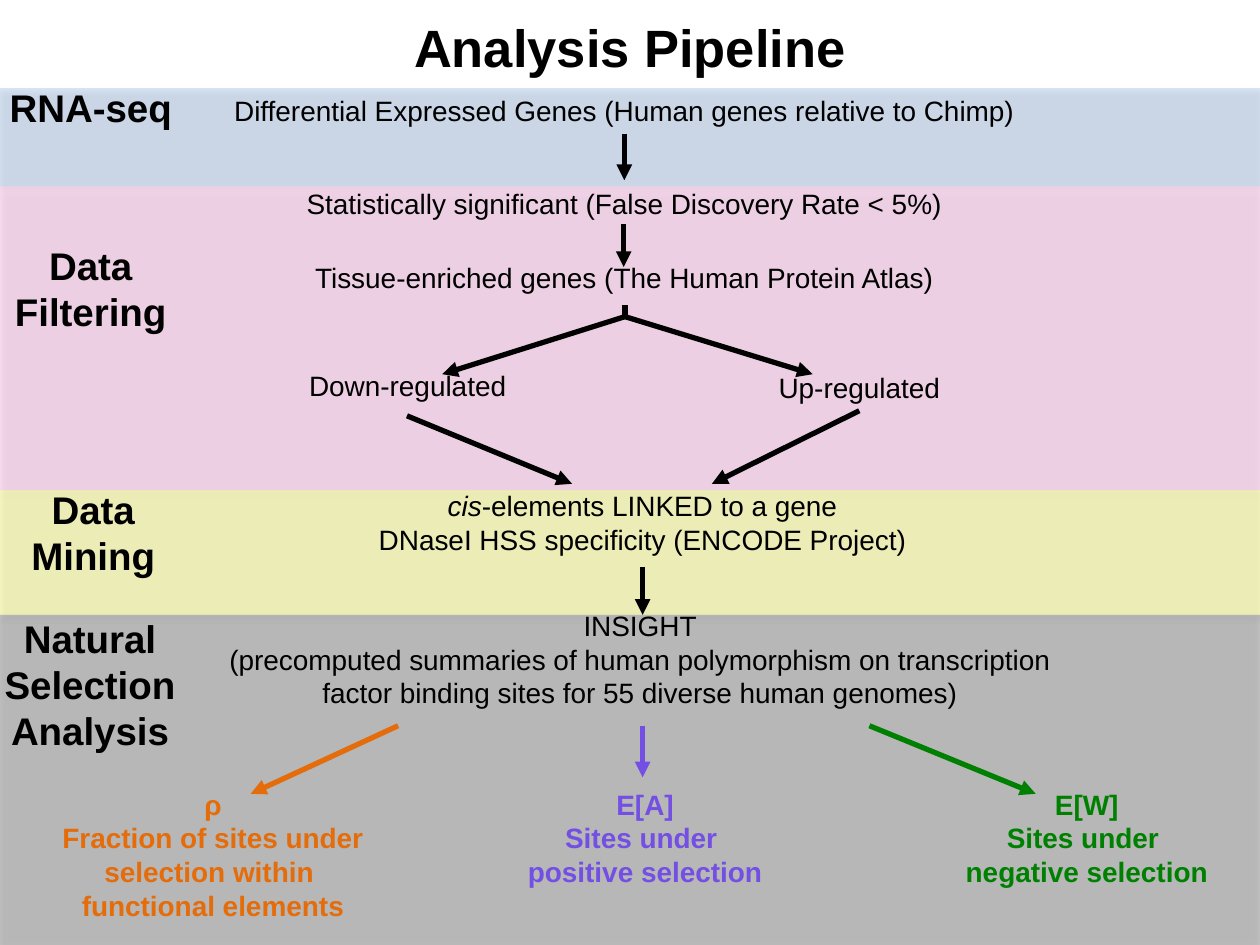
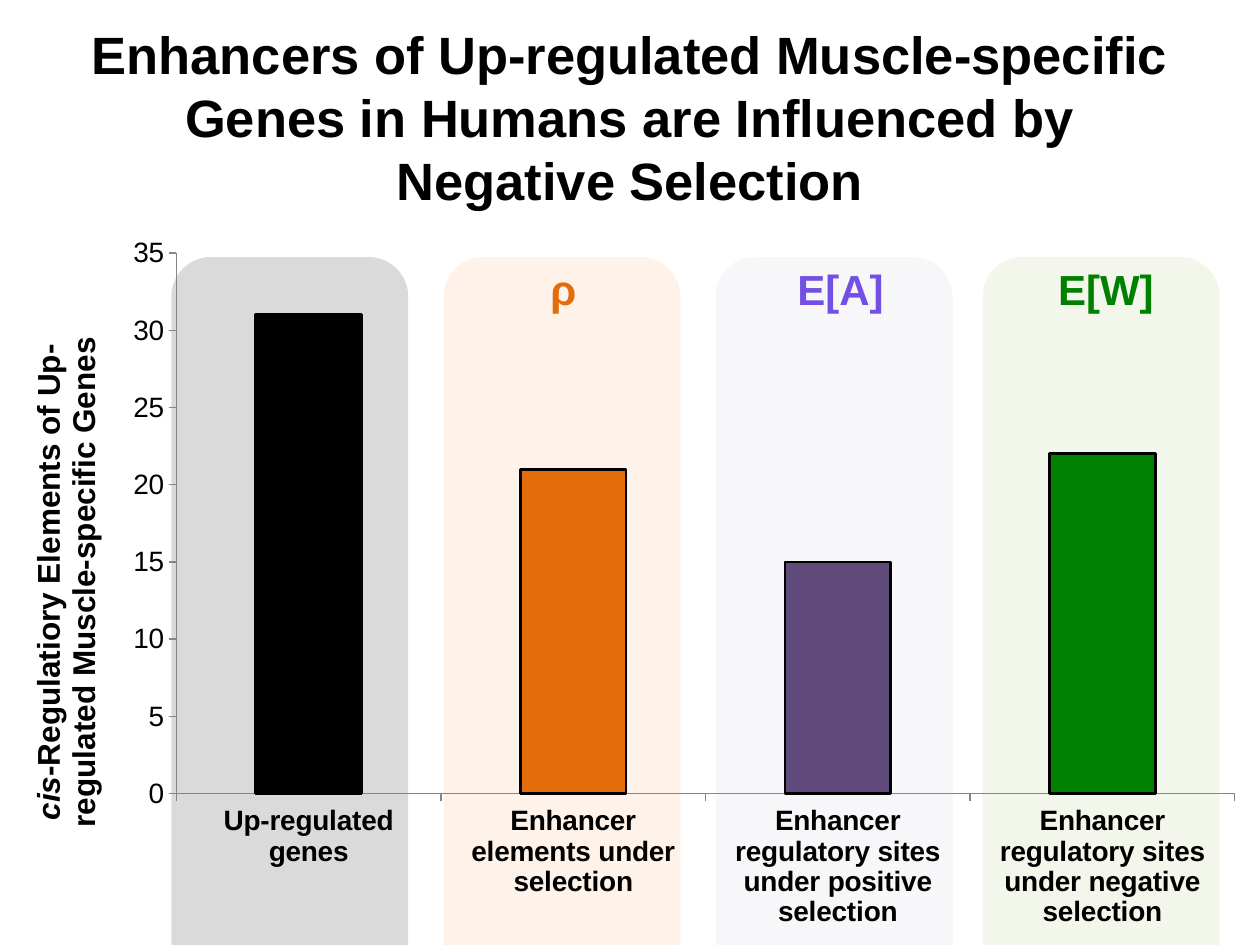
"""Build the analysis pipeline slide and the enhancer selection chart slide."""
from lxml import etree
from pptx import Presentation
from pptx.chart.data import CategoryChartData
from pptx.dml.color import RGBColor
from pptx.enum.chart import XL_CHART_TYPE, XL_TICK_MARK
from pptx.enum.shapes import MSO_CONNECTOR, MSO_SHAPE
from pptx.enum.text import MSO_ANCHOR, PP_ALIGN
from pptx.oxml import parse_xml
from pptx.oxml.ns import nsdecls, qn
from pptx.util import Pt

PX = 9144
FONT = "Arial"
CENTER, LEFT = PP_ALIGN.CENTER, PP_ALIGN.LEFT
MIDDLE = MSO_ANCHOR.MIDDLE
STRAIGHT = MSO_CONNECTOR.STRAIGHT
RECTANGLE, ROUND_TOP = MSO_SHAPE.RECTANGLE, MSO_SHAPE.ROUND_2_SAME_RECTANGLE
COLUMNS = XL_CHART_TYPE.COLUMN_CLUSTERED
OUTSIDE = XL_TICK_MARK.OUTSIDE
COLORS = {
    "ink": "000000", "rho": "E46C0A", "positive": "7350E3", "negative": "008000",
    "rna": "558ED5", "filtering": "F26ECA", "mining": "F2F000",
    "grey": "808080", "peach": "FCD5B5", "lilac": "E6E0EC", "sage": "D7E4BD",
    "series": "4F81BD", "purple bar": "604A7B", "axis": "868686",
}
RGB = {name: RGBColor.from_string(value) for name, value in COLORS.items()}


def write_lines(frame, text, size, color="ink", bold=False, align=CENTER):
    for number, line in enumerate(text.split("\n")):
        paragraph = frame.add_paragraph() if number else frame.paragraphs[0]
        paragraph.alignment = align
        pieces = ["cis", line[3:]] if line.startswith("cis-") else [line]
        for piece in pieces:
            run = paragraph.add_run()
            run.text = piece
            run.font.name, run.font.size = FONT, Pt(size)
            run.font.bold, run.font.italic = bold, piece == "cis"
            run.font.color.rgb = RGB[color]


def add_text(slide, box, text, size, color="ink", bold=False, align=CENTER, wrap=False):
    textbox = slide.shapes.add_textbox(*[PX * length for length in box])
    textbox.text_frame.word_wrap = wrap
    write_lines(textbox.text_frame, text, size, color, bold, align)
    return textbox


prs = Presentation()
prs.slide_width, prs.slide_height = 1000 * PX, 750 * PX
pipeline, enhancers = [prs.slides.add_slide(prs.slide_layouts[6]) for _ in range(2)]

panels = []
band_edges = [70, 148, 389, 488, 750]
for top, bottom, color in zip(band_edges, band_edges[1:], ["rna", "filtering", "mining", "ink"]):
    band = pipeline.shapes.add_shape(RECTANGLE, 0, top * PX, 1000 * PX, (bottom - top) * PX)
    panels.append((band, color, 22, True))
for left, color in [(136, "grey"), (352, "peach"), (568, "lilac"), (780, "sage")]:
    column = enhancers.shapes.add_shape(ROUND_TOP, left * PX, 204 * PX, 188 * PX, 546 * PX)
    panels.append((column, color, 29, False))
for panel, color, opacity, shaded in panels:
    panel.fill.solid()
    panel.fill.fore_color.rgb = RGB[color]
    panel.line.fill.background()
    panel.shadow.inherit = False
    properties = panel._element.spPr
    fill_color = properties.find(qn("a:solidFill"))[0]
    etree.SubElement(fill_color, qn("a:alpha"), val=str(opacity * 1000))
    if shaded:
        properties.find(qn("a:effectLst")).append(parse_xml(
            f'<a:outerShdw {nsdecls("a")} blurRad="39370" dist="22860" dir="5400000" '
            'rotWithShape="0"><a:srgbClr val="000000"><a:alpha val="35000"/>'
            '</a:srgbClr></a:outerShdw>'))

titles = [
    (pipeline, -26, "Analysis Pipeline"),
    (enhancers, 30, "Enhancers of Up-regulated Muscle-specific Genes in Humans "
                    "are Influenced by Negative Selection"),
]
for slide, top, title in titles:
    heading = add_text(slide, (50, top, 900, 125), title, 30, bold=True, wrap=True)
    heading.text_frame.vertical_anchor = MIDDLE

stages = [
    ((-3, 62, 150, 47), "RNA-seq"),
    ((1, 187, 142, 84), "Data\nFiltering"),
    ((14, 381, 120, 84), "Data\nMining"),
    ((-7, 483, 157, 121), "Natural\nSelection\nAnalysis"),
]
for box, stage in stages:
    add_text(pipeline, box, stage, 22, bold=True)

expressed = add_text(pipeline, (172, 69, 647, 37),
                     "Differential Expressed Genes (Human genes relative to Chimp)", 16)
significant = add_text(pipeline, (230, 143, 531, 37),
                       "Statistically significant (False Discovery Rate < 5%)", 16)
steps = [
    ((237, 202, 517, 37), "Tissue-enriched genes (The Human Protein Atlas)"),
    ((607, 289, 150, 37), "Up-regulated"),
    ((234, 288, 179, 37), "Down-regulated"),
    ((288, 383, 444, 64), "cis-elements LINKED to a gene\nDNaseI HSS specificity (ENCODE Project)"),
    ((171, 478, 680, 91), "INSIGHT \n"
     "(precomputed summaries of human polymorphism on transcription \n"
     "factor binding sites for 55 diverse human genomes) "),
]
for box, step in steps:
    add_text(pipeline, box, step, 16)

outcomes = [
    ((38, 620, 262, 118), "ρ\nFraction of sites under \nselection within \nfunctional elements", "rho"),
    ((408, 620, 208, 91), "E[A]\nSites under \npositive selection", "positive"),
    ((755, 620, 215, 91), "E[W]\nSites under \nnegative selection", "negative"),
]
for box, outcome, color in outcomes:
    add_text(pipeline, box, outcome, 16, color, bold=True)

flows = [
    ((495, 106, 495, 143), "ink", True),
    ((495, 178, 495, 212), "ink", True),
    ((496, 252, 496, 242), "ink", False),
    ((497, 251, 351, 297), "ink", True),
    ((495, 251, 645, 297), "ink", True),
    ((323, 330, 454, 384), "ink", True),
    ((682, 326, 565, 384), "ink", True),
    ((510, 450, 510, 488), "ink", True),
    ((316, 576, 199, 630), "rho", True),
    ((510, 576, 510, 617), "positive", True),
    ((690, 576, 822, 630), "negative", True),
]
arrows = []
for ends, color, pointed in flows:
    arrow = pipeline.shapes.add_connector(STRAIGHT, *[PX * place for place in ends])
    arrow.line.color.rgb = RGB[color]
    arrow.line.width = Pt(3)
    properties = arrow._element.spPr
    if pointed:
        etree.SubElement(properties.find(qn("a:ln")), qn("a:tailEnd"), type="triangle")
    etree.SubElement(properties, qn("a:effectLst"))
    arrows.append(arrow)
arrows[0].begin_connect(expressed, 2)
arrows[0].end_connect(significant, 0)

measures = [(427, 41, "ρ", "rho"), (623, 89, "E[A]", "positive"), (830, 97, "E[W]", "negative")]
for left, width, measure, color in measures:
    add_text(enhancers, (left, 204, width, 50), measure, 24, color, bold=True, align=LEFT)

counts = CategoryChartData()
counts.categories = [
    "Up-regulated genes", "Enhancer elements under selection",
    "Enhancer regulatory sites under positive selection",
    "Enhancer regulatory sites under negative selection",
]
counts.add_series("Series 1", [31, 21, 15, 22])
chart = enhancers.shapes.add_chart(COLUMNS, 0, 178 * PX, 1000 * PX, 572 * PX, counts).chart
chart.has_legend = chart.has_title = False
chart.font.name, chart.font.size = FONT, Pt(16)
chart.font.color.rgb = RGB["ink"]

plot = chart.plots[0]
plot.gap_width = 150
plot.vary_by_categories = False
series = plot.series[0]
series.format.fill.solid()
series.format.fill.fore_color.rgb = RGB["series"]
for index, color in enumerate(["ink", "rho", "purple bar", "negative"]):
    bar = series.points[index].format
    bar.fill.solid()
    bar.fill.fore_color.rgb = RGB[color]
    bar.line.color.rgb = RGB["ink"]
    bar.line.width = Pt(1.5)

for axis in (chart.category_axis, chart.value_axis):
    axis.has_major_gridlines = False
    axis.major_tick_mark = OUTSIDE
    axis.format.line.color.rgb = RGB["axis"]
    axis.tick_labels.font.size = Pt(16)
chart.category_axis.tick_labels.font.bold = True
elements = chart.value_axis
elements.minimum_scale, elements.maximum_scale, elements.major_unit = 0, 35, 5
axis_title = elements.axis_title.text_frame
write_lines(axis_title, "cis-Regulatiory Elements of Up-regulated Muscle-specific Genes", 18, bold=True)
axis_title._txBody.find(qn("a:bodyPr")).set("rot", "-5400000")

plot_area = chart._chartSpace.chart.plotArea
for old_layout in plot_area.findall(qn("c:layout")):
    plot_area.remove(old_layout)
plot_area.insert(0, parse_xml(
    f'<c:layout {nsdecls("c")}><c:manualLayout><c:layoutTarget val="inner"/>'
    '<c:xMode val="edge"/><c:yMode val="edge"/><c:x val="0.14"/><c:y val="0.04"/>'
    '<c:w val="0.84"/><c:h val="0.75"/></c:manualLayout></c:layout>'))

prs.save("out.pptx")
